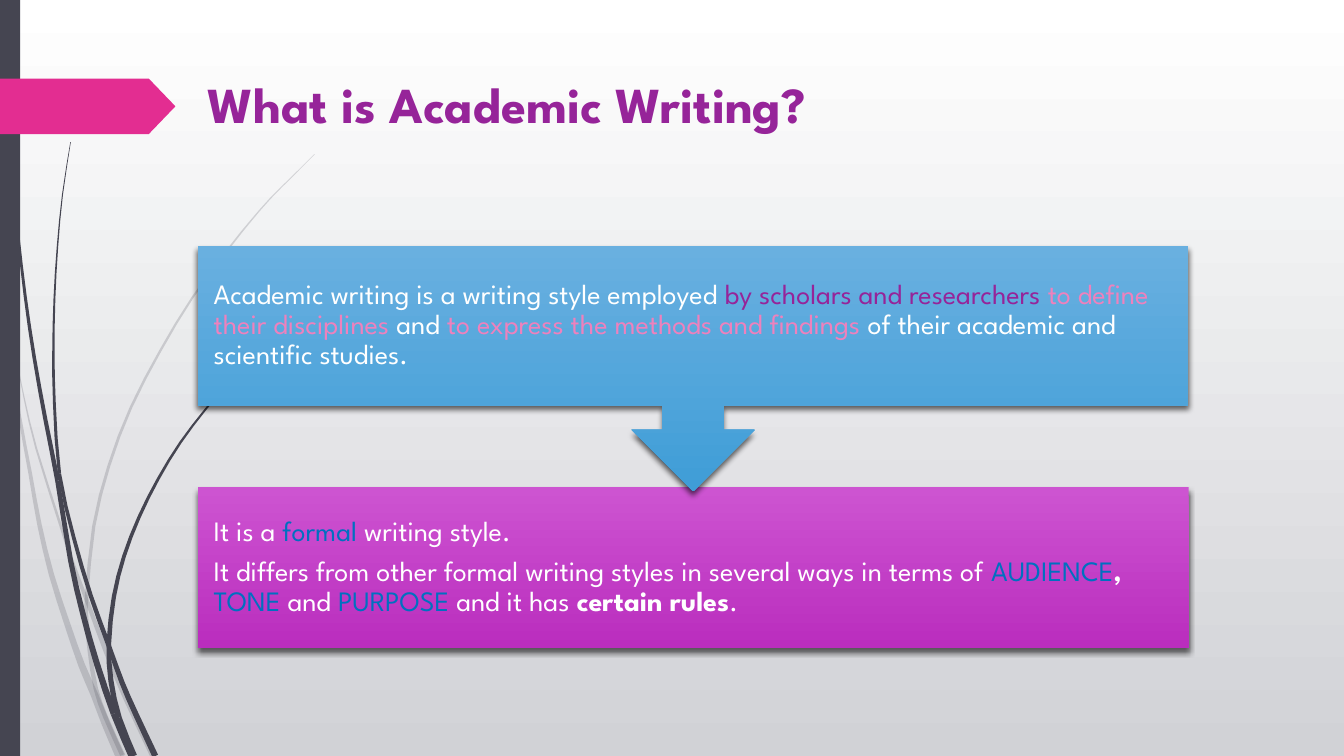
import itertools
import math

import pptx
import pptx.dml.color
import pptx.enum.shapes
import pptx.enum.text
import pptx.oxml
import pptx.oxml.ns
import pptx.util

Inches = pptx.util.Inches
Pt = pptx.util.Pt
SHAPES = pptx.enum.shapes.MSO_SHAPE
ANCHORS = pptx.enum.text.MSO_ANCHOR

WIDTH, HEIGHT = 13.33, 7.5
FONT = "League Spartan"
DARK, PINK, PURPLE, BLUE, ROSE, WHITE = "454551", "E32D91", "962499", "0070C0", "EE81BD", "FFFFFF"
CURVE_STEPS = 2

# Centre line of each strand in inches, split into its pieces, and the width at the bottom end.
PALE_STRANDS = [
    ([[(0, 2.9), (0.05, 3.17)],
      [(0.11, 3.5), (0.19, 4.1), (0.3, 4.7), (0.39, 5.2), (0.51, 5.7), (0.67, 6.2), (0.81, 6.6)],
      [(0.94, 6.9), (1.05, 7.18), (1.19, 7.5)]], 0.09),
    ([[(0.14, 3.45), (0.24, 3.95), (0.36, 4.45), (0.6, 5.21), (0.72, 5.58)],
      [(0.87, 5.98), (1.05, 6.46), (1.25, 6.93), (1.52, 7.5)]], 0.06),
    ([[(3.12, 1.53), (2.9, 1.75), (2.68, 1.97), (2.48, 2.2), (2.28, 2.45), (1.91, 2.95),
       (1.59, 3.48), (1.3, 4.04), (1.08, 4.62), (0.93, 5.22)],
      [(0.86, 5.91), (0.86, 6.15), (0.89, 6.46), (0.95, 6.83)],
      [(1.05, 7.12), (1.22, 7.5)]], 0.05),
]
DARK_STRANDS = [
    ([[(0.04, 0), (0.05, 0.48), (0.08, 1.1), (0.12, 1.71), (0.18, 2.33), (0.25, 2.94),
       (0.34, 3.55), (0.45, 4.16)],
      [(0.57, 4.77), (0.7, 5.56), (0.82, 6.08), (0.96, 6.58)],
      [(1.13, 7.08), (1.31, 7.5)]], 0.07),
    ([[(0.7, 1.41), (0.62, 1.93), (0.57, 2.45), (0.54, 2.97), (0.53, 3.49), (0.54, 4.01)],
      [(0.59, 4.7), (0.73, 5.33), (0.9, 5.91)],
      [(1.08, 6.41), (1.21, 6.77), (1.34, 7.07), (1.54, 7.5)]], 0.06),
    ([[(2.6, 3.44), (2.45, 3.59), (2.31, 3.74), (2.04, 4.06), (1.79, 4.39), (1.57, 4.75),
       (1.38, 5.13), (1.23, 5.52), (1.13, 5.92)],
      [(1.08, 6.38), (1.1, 6.75)],
      [(1.18, 7.12), (1.33, 7.5)]], 0.06),
]


def colour(hex_string):
    return pptx.dml.color.RGBColor.from_string(hex_string)


def fill_gradient(fill, top, bottom):
    fill.gradient()
    fill.gradient_angle = 270
    for stop, shade in zip(fill.gradient_stops, (top, bottom)):
        stop.color.rgb = colour(shade)


def fill_solid(shape, shade, opacity=100):
    shape.shadow.inherit = False
    shape.line.fill.background()
    shape.fill.solid()
    shape.fill.fore_color.rgb = colour(shade)
    if opacity < 100:
        tag = shape.fill._xPr.find(".//" + pptx.oxml.ns.qn("a:srgbClr"))
        tag.append(pptx.oxml.parse_xml(
            f'<a:alpha {pptx.oxml.ns.nsdecls("a")} val="{opacity * 1000}"/>'))


def add_soft_shadow(shape):
    shape.shadow.inherit = False
    effects = shape._element.spPr.find(pptx.oxml.ns.qn("a:effectLst"))
    effects.append(pptx.oxml.parse_xml(
        f'<a:outerShdw {pptx.oxml.ns.nsdecls("a")} blurRad="{Pt(4)}" dist="{Pt(3)}" '
        'dir="5400000" rotWithShape="0"><a:srgbClr val="000000"><a:alpha val="60000"/>'
        '</a:srgbClr></a:outerShdw>'))


def write(frame, paragraphs, size, bold=False, anchor=ANCHORS.TOP, spacing=1.0, after=0):
    """Fill a text frame; each paragraph is a list of (text, colour[, bold]) runs."""
    frame.word_wrap = True
    frame.auto_size = pptx.enum.text.MSO_AUTO_SIZE.NONE
    frame.vertical_anchor = anchor
    for index, runs in enumerate(paragraphs):
        paragraph = frame.add_paragraph() if index else frame.paragraphs[0]
        paragraph.alignment = pptx.enum.text.PP_ALIGN.LEFT
        paragraph.line_spacing = spacing
        paragraph.space_before = Pt(0)
        paragraph.space_after = Pt(after)
        for text, shade, *emphasis in runs:
            run = paragraph.add_run()
            run.text = text
            run.font.name = FONT
            run.font.size = Pt(size)
            run.font.bold = emphasis[0] if emphasis else bold
            run.font.color.rgb = colour(shade)


def smooth_curve(points):
    """Catmull-Rom samples through the points."""
    padded = [points[0], *points, points[-1]]
    samples = []
    for a, b, c, d in zip(padded, padded[1:], padded[2:], padded[3:]):
        for step in range(CURVE_STEPS):
            t = step / CURVE_STEPS
            samples.append(tuple(
                0.5 * (2 * q + (r - p) * t + (2 * p - 5 * q + 4 * r - s) * t ** 2
                       + (3 * q - p - 3 * r + s) * t ** 3)
                for p, q, r, s in zip(a, b, c, d)))
    return samples + [points[-1]]


def add_strand(slide, pieces, end_width, opacity):
    """Draw a strand, piece by piece, that widens steadily along its centre line."""
    curve = smooth_curve([point for piece in pieces for point in piece])
    last = len(curve) - 1
    left, right = [], []
    for index, (x, y) in enumerate(curve):
        before, following = curve[max(index - 1, 0)], curve[min(index + 1, last)]
        dx, dy = following[0] - before[0], following[1] - before[1]
        half = (0.005 + (end_width - 0.005) * index / last) / 2 / math.hypot(dx, dy)
        left.append((Inches(x - dy * half), Inches(y + dx * half)))
        right.append((Inches(x + dy * half), Inches(y - dx * half)))
    ends = [0, *itertools.accumulate(len(piece) * CURVE_STEPS for piece in pieces)]
    for start, end in zip(ends, ends[1:]):
        outline = left[start:end + 1] + right[start:end + 1][::-1]
        builder = slide.shapes.build_freeform(*outline[0])
        builder.add_line_segments(outline[1:], close=True)
        fill_solid(builder.convert_to_shape(), DARK, opacity)


def add_shape(slide, kind, box):
    return slide.shapes.add_shape(kind, *map(Inches, box))


def add_side_decoration(slide, box):
    left, top, width, height = box
    for strands, opacity in ((PALE_STRANDS, 20), (DARK_STRANDS, 100)):
        for pieces, end_width in strands:
            placed = [[(left + x, top + y) for x, y in piece] for piece in pieces]
            add_strand(slide, placed, end_width, opacity)
    fill_solid(add_shape(slide, SHAPES.RECTANGLE, (left, top, 0.015 * width, height)), DARK)
    tag = add_shape(slide, SHAPES.PENTAGON, (left, top + 0.78, 1.74, 0.55))
    tag.adjustments[0] = 0.48
    fill_solid(tag, PINK)


def add_title(slide, box):
    title = slide.shapes.title
    title.left, title.top, title.width, title.height = map(Inches, box)
    write(title.text_frame, [[("What is Academic Writing?", PURPLE)]], size=36, bold=True)


def add_panel(slide, kind, box, shades, paragraphs):
    panel = add_shape(slide, kind, box)
    fill_gradient(panel.fill, *shades)
    panel.line.fill.background()
    add_soft_shadow(panel)
    frame = panel.text_frame
    frame.margin_left = frame.margin_right = frame.margin_top = frame.margin_bottom = Inches(0.16)
    write(frame, paragraphs, size=20, anchor=ANCHORS.MIDDLE, spacing=0.9, after=7)


def add_definition_flow(slide, box):
    """Stack the definition, whose arrow points down, on the style panel."""
    left, top, width, height = box
    style_top = 0.6 * height
    add_panel(slide, SHAPES.RECTANGLE,
              (left, top + style_top, width, height - style_top), ("CD54D1", "BA2DBE"), [
        [("It is a ", WHITE), ("formal ", BLUE), ("writing style.", WHITE)],
        [("It differs from other formal writing styles in several ways in terms of ", WHITE),
         ("AUDIENCE", BLUE), (", ", WHITE, True), ("TONE ", BLUE), ("and ", WHITE),
         ("PURPOSE ", BLUE), ("and it has ", WHITE), ("certain rules", WHITE, True),
         (".", WHITE)]])
    add_panel(slide, SHAPES.DOWN_ARROW_CALLOUT,
              (left, top, width, 0.61 * height), ("69B0E0", "3F9DD7"), [
        [("Academic writing is a writing style employed ", WHITE),
         ("by scholars and researchers ", PURPLE), ("to define their disciplines ", ROSE),
         ("and ", WHITE), ("to express the methods and findings ", ROSE),
         ("of their academic and scientific studies.", WHITE)]])


def main():
    presentation = pptx.Presentation()
    presentation.slide_width, presentation.slide_height = Inches(WIDTH), Inches(HEIGHT)
    slide = presentation.slides.add_slide(presentation.slide_layouts[5])
    fill_gradient(slide.background.fill, "FFFFFF", "D1D2D6")
    add_side_decoration(slide, (0, 0, WIDTH, HEIGHT))
    add_title(slide, (1.96, 0.68, 10.62, 1.4))
    add_definition_flow(slide, (1.96, 2.44, 9.83, 3.99))
    presentation.save("out.pptx")


if __name__ == "__main__":
    main()
